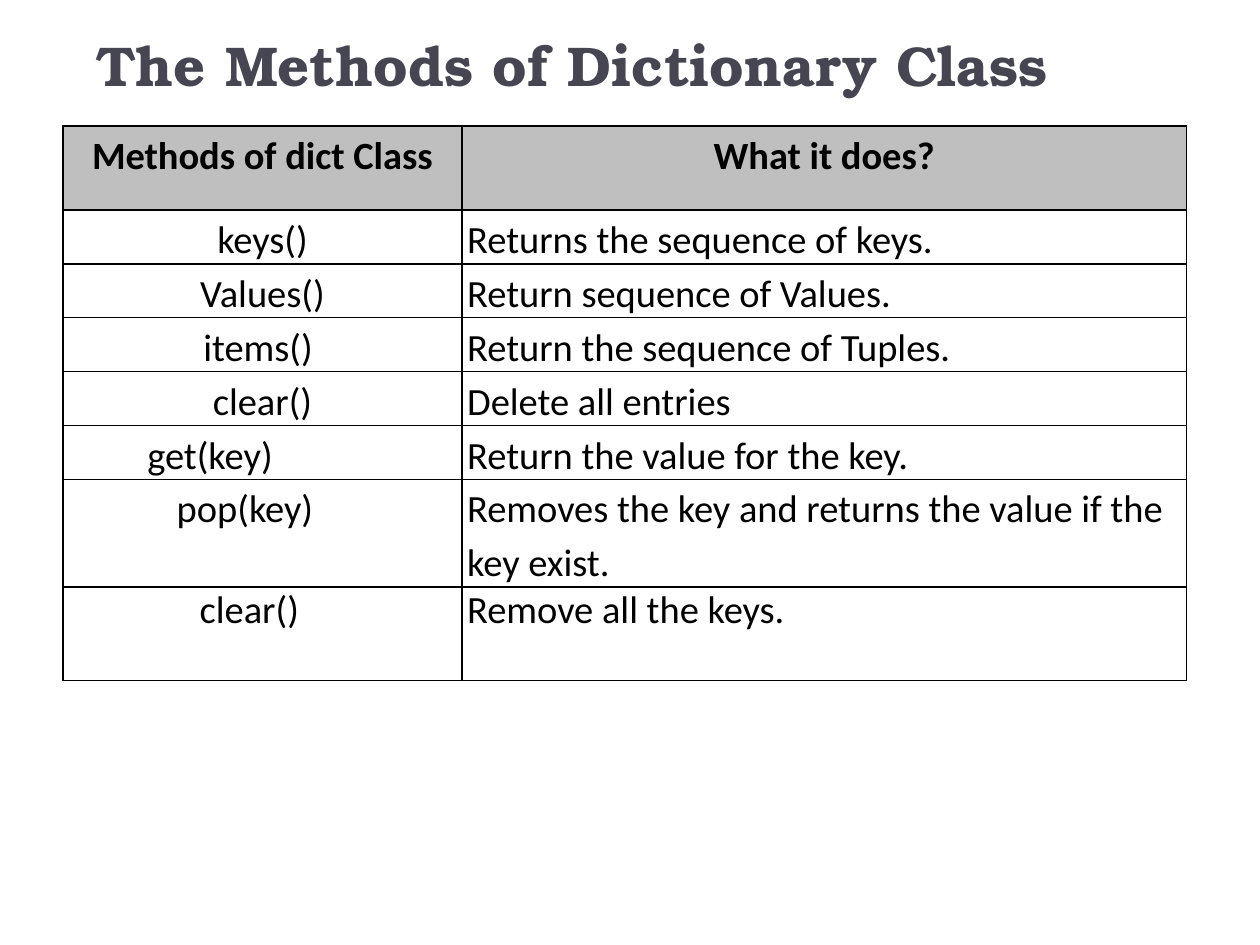
from dataclasses import dataclass

from lxml import etree
from pptx import Presentation
from pptx.dml.color import RGBColor
from pptx.enum.text import MSO_ANCHOR, PP_ALIGN
from pptx.oxml.ns import qn
from pptx.util import Pt

BLACK = RGBColor(0x00, 0x00, 0x00)
HEADER_GRAY = RGBColor(0xBF, 0xBF, 0xBF)
TITLE_SLATE = RGBColor(0x46, 0x46, 0x53)
LEFT, CENTER = PP_ALIGN.LEFT, PP_ALIGN.CENTER
BOTTOM = MSO_ANCHOR.BOTTOM

TITLE_FONT = {"name": "TeX Gyre Bonum", "size": Pt(32), "bold": True}
HEADER_FONT = {"name": "Calibri", "size": Pt(22), "bold": True}
BODY_FONT = HEADER_FONT | {"bold": False}

INSET = 3
BORDER_WIDTH = 1
COLUMN_WIDTHS = (228, 414)


@dataclass
class MethodRow:
    """One table row; shift is extra right margin beside the method name."""

    method: str
    description: str
    height: float = 30.8
    shift: float = 0
    spacing: float = 1.15
    header: bool = False


ROWS = [
    MethodRow("Methods of dict Class", "What it does?", height=48, header=True),
    MethodRow("keys()", "Returns the sequence of keys."),
    MethodRow("Values()", "Return sequence of Values."),
    MethodRow("items()", "Return the sequence of Tuples.", shift=5),
    MethodRow("clear()", "Delete all entries"),
    MethodRow("get(key)", "Return the value for the key.", shift=60),
    MethodRow("pop(key)", "Removes the key and returns the value if the key exist.",
              height=61.6, shift=20),
    MethodRow("clear()", "Remove all the keys.", height=53.4, shift=15, spacing=1.0),
]


def write_text(text_frame, text: str, font: dict, color: RGBColor,
               alignment=LEFT, spacing: float = 1.0) -> None:
    """Fill a text frame with one formatted paragraph."""
    paragraph = text_frame.paragraphs[0]
    paragraph.alignment = alignment
    paragraph.line_spacing = spacing
    run = paragraph.add_run()
    run.text = text
    for name, value in font.items():
        setattr(run.font, name, value)
    run.font.color.rgb = color


def add_borders(cell) -> None:
    """Draw a black line on all four sides of a cell."""
    properties = cell._tc.get_or_add_tcPr()
    for index, side in enumerate(("a:lnL", "a:lnR", "a:lnT", "a:lnB")):
        line = etree.Element(qn(side), w=str(Pt(BORDER_WIDTH)))
        fill = etree.SubElement(line, qn("a:solidFill"))
        etree.SubElement(fill, qn("a:srgbClr"), val=str(BLACK))
        properties.insert(index, line)


def format_cell(cell, row: MethodRow, text: str, alignment, shift: float) -> None:
    """Set the margins, fill, borders and text of a cell."""
    margins = {"margin_left": Pt(INSET), "margin_right": Pt(INSET + shift),
               "margin_top": Pt(0), "margin_bottom": Pt(0)}
    for name, value in margins.items():
        setattr(cell, name, value)
    if row.header:
        cell.fill.solid()
        cell.fill.fore_color.rgb = HEADER_GRAY
    else:
        cell.fill.background()
    add_borders(cell)
    font = HEADER_FONT if row.header else BODY_FONT
    write_text(cell.text_frame, text, font, BLACK, alignment, row.spacing)


def add_title(slide) -> None:
    """Add the slide title."""
    title = slide.shapes.add_textbox(Pt(48), Pt(-3), Pt(648), Pt(62.6))
    title.text_frame.word_wrap = True
    title.text_frame.vertical_anchor = BOTTOM
    write_text(title.text_frame, "The Methods of Dictionary Class", TITLE_FONT, TITLE_SLATE)


def add_method_table(slide) -> None:
    """Add the table of dictionary methods."""
    height = sum(row.height for row in ROWS)
    table = slide.shapes.add_table(len(ROWS), len(COLUMN_WIDTHS), Pt(36), Pt(72),
                                   Pt(sum(COLUMN_WIDTHS)), Pt(height)).table
    table.first_row = False
    table.horz_banding = False
    for column, width in zip(table.columns, COLUMN_WIDTHS):
        column.width = Pt(width)
    for index, row in enumerate(ROWS):
        table.rows[index].height = Pt(row.height)
        format_cell(table.cell(index, 0), row, row.method, CENTER, row.shift)
        alignment = CENTER if row.header else LEFT
        format_cell(table.cell(index, 1), row, row.description, alignment, 0)


def main() -> None:
    """Build and save the presentation."""
    presentation = Presentation()
    presentation.slide_width, presentation.slide_height = Pt(720), Pt(540)
    slide = presentation.slides.add_slide(presentation.slide_layouts[6])
    add_title(slide)
    add_method_table(slide)
    presentation.save("out.pptx")


main()
